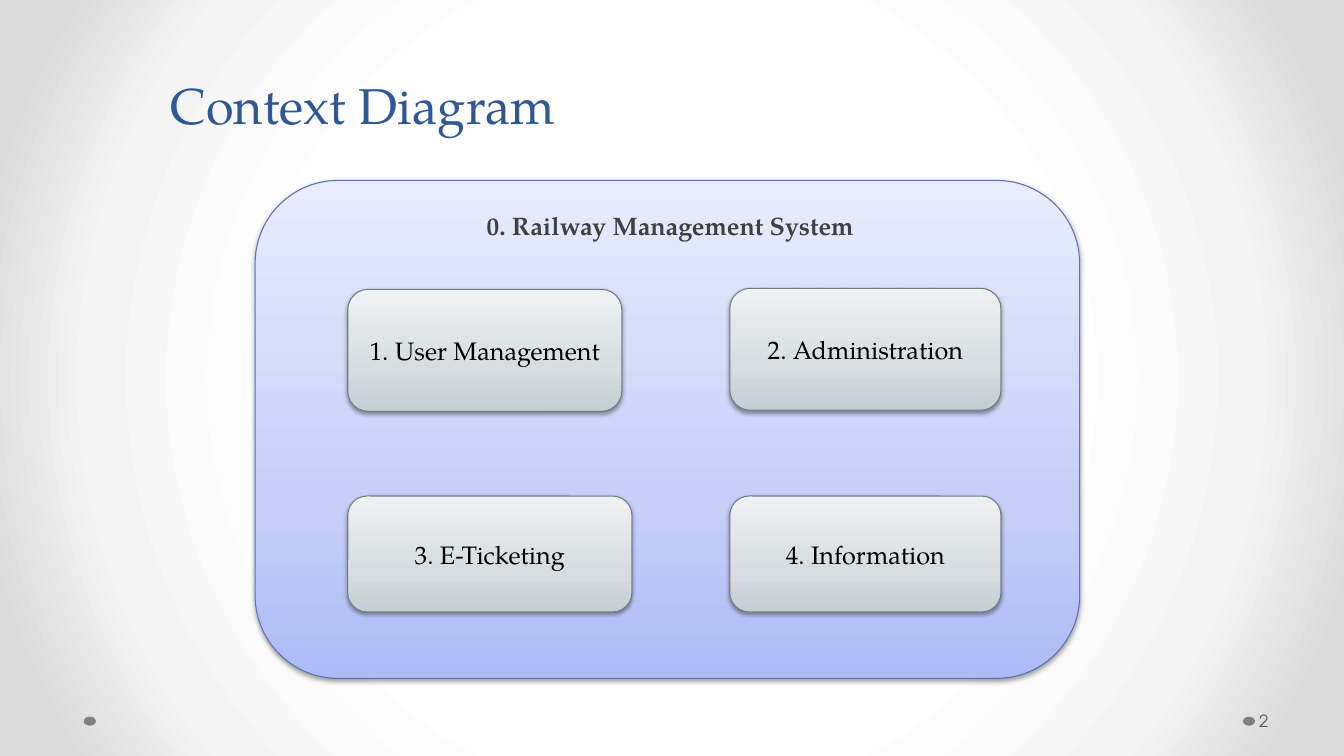
from lxml.etree import SubElement
from pptx import Presentation
from pptx.dml.color import RGBColor
from pptx.enum.shapes import MSO_SHAPE
from pptx.enum.text import MSO_ANCHOR, PP_ALIGN
from pptx.oxml.ns import qn
from pptx.util import Pt

SERIF, SANS = "TeX Gyre Pagella", "TeX Gyre Adventor"
TITLE_BLUE = RGBColor(0x2F, 0x58, 0x97)
BLACK = RGBColor(0, 0, 0)
HEADING_GRAY = RGBColor(0x40, 0x40, 0x40)
NUMBER_GRAY = RGBColor(0x59, 0x59, 0x59)
DOT_GRAY = RGBColor(0x80, 0x80, 0x80)
PANEL_LINE = RGBColor(0x5C, 0x72, 0xB2)
PROCESS_LINE = RGBColor(0x72, 0x7D, 0x82)

# Gradient stops: position in percent, colour
BACKGROUND_STOPS = [(50, RGBColor(0xFF, 0xFF, 0xFF)), (76, RGBColor(0xF4, 0xF4, 0xF4)),
                    (92, RGBColor(0xDA, 0xDA, 0xDA))]
PANEL_STOPS = [(0, RGBColor(0xAD, 0xBB, 0xF6)), (35, RGBColor(0xC5, 0xCF, 0xF8)),
               (100, RGBColor(0xE8, 0xEC, 0xFD))]
PROCESS_STOPS = [(0, RGBColor(0xC5, 0xCE, 0xD2)), (35, RGBColor(0xD6, 0xDC, 0xDF)),
                 (100, RGBColor(0xEF, 0xF2, 0xF3))]

# Processes: label, then left, top, width, height inside the panel
PROCESSES = [
    ("1. User Management", (66.2, 77.8, 195.8, 87.1)),
    ("2. Administration", (339.1, 77, 193.7, 87.1)),
    ("4. Information", (339.1, 225.4, 193.7, 82.8)),
    ("3. E-Ticketing", (66.2, 225.4, 203, 82.8)),
]


def add_element(parent, tag, **attributes):
    return SubElement(parent, qn(tag), {name: str(value) for name, value in attributes.items()})


def apply_gradient(properties, stops, radial=False):
    """Swap the solid fill in the given properties for a gradient."""
    solid = properties.find(qn("a:solidFill"))
    gradient = add_element(properties, "a:gradFill", rotWithShape=1)
    properties.replace(solid, gradient)
    stop_list = add_element(gradient, "a:gsLst")
    for position, color in stops:
        stop = add_element(stop_list, "a:gs", pos=position * 1000)
        add_element(stop, "a:srgbClr", val=color)
    if radial:
        shade = add_element(gradient, "a:path", path="circle")
        add_element(shade, "a:fillToRect", l=50000, t=50000, r=50000, b=50000)
    else:
        add_element(gradient, "a:lin", ang=16200000, scaled=0)


def add_shadow(shape):
    effects = shape._element.spPr.find(qn("a:effectLst"))
    shadow = add_element(effects, "a:outerShdw", blurRad=Pt(3.1), dist=Pt(1.6),
                         dir=5400000, rotWithShape=0)
    color = add_element(shadow, "a:srgbClr", val=BLACK)
    add_element(color, "a:alpha", val=38000)


def write_text(shape, text, color, name=SERIF, size=18, bold=False,
               alignment=PP_ALIGN.CENTER, anchor=MSO_ANCHOR.MIDDLE, wrap=True):
    frame = shape.text_frame
    frame.word_wrap = wrap
    frame.vertical_anchor = anchor
    paragraph = frame.paragraphs[0]
    paragraph.alignment = alignment
    run = paragraph.add_run()
    run.text = text
    run.font.color.rgb = color
    for attribute, value in {"name": name, "size": Pt(size), "bold": bold}.items():
        setattr(run.font, attribute, value)
    return paragraph


def add_filled_shape(slide, kind, box, color):
    shape = slide.shapes.add_shape(kind, *map(Pt, box))
    shape.shadow.inherit = False
    shape.fill.solid()
    shape.fill.fore_color.rgb = color
    shape.line.fill.background()
    return shape


def add_card(slide, box, stops, line_color):
    card = add_filled_shape(slide, MSO_SHAPE.ROUNDED_RECTANGLE, box, line_color)
    apply_gradient(card._element.spPr, stops)
    card.line.color.rgb = line_color
    card.line.width = Pt(0.75)
    add_shadow(card)
    return card


def add_title(slide, box):
    title = slide.shapes.title
    for attribute, value in zip(("left", "top", "width", "height"), box):
        setattr(title, attribute, Pt(value))
    paragraph = write_text(title, "Context Diagram", TITLE_BLUE, size=36,
                           anchor=MSO_ANCHOR.BOTTOM)
    paragraph.line_spacing = Pt(58)


def add_footer(slide, box):
    left, top, width, height = box
    # Dots at both ends
    for dot_left in (left, left + 828):
        add_filled_shape(slide, MSO_SHAPE.OVAL, (dot_left, top + 11.5, 8.7, 6.5), DOT_GRAY)
    # Slide number
    number = slide.shapes.add_textbox(Pt(left + width - 59), Pt(top), Pt(59), Pt(height))
    number.text_frame.margin_left = Pt(2.2)
    number.text_frame.margin_right = Pt(3.6)
    write_text(number, "2", NUMBER_GRAY, SANS, 12, alignment=PP_ALIGN.LEFT)


def add_system_panel(slide, box):
    left, top, width, height = box
    add_card(slide, box, PANEL_STOPS, PANEL_LINE)
    # Processes
    for label, (x, y, process_width, process_height) in PROCESSES:
        process_box = (left + x, top + y, process_width, process_height)
        process = add_card(slide, process_box, PROCESS_STOPS, PROCESS_LINE)
        write_text(process, label, BLACK)
    # Heading
    heading = slide.shapes.add_textbox(Pt(left + 158.4), Pt(top + 18), Pt(280), Pt(29))
    write_text(heading, "0. Railway Management System", HEADING_GRAY, bold=True,
               alignment=PP_ALIGN.LEFT, anchor=MSO_ANCHOR.TOP, wrap=False)


def main():
    presentation = Presentation()
    presentation.slide_width, presentation.slide_height = Pt(960), Pt(540)
    slide = presentation.slides.add_slide(presentation.slide_layouts[5])

    # Background
    slide.background.fill.solid()
    slide.background.fill.fore_color.rgb = BACKGROUND_STOPS[0][1]
    apply_gradient(slide.element.find(".//" + qn("p:bgPr")), BACKGROUND_STOPS, radial=True)

    add_footer(slide, (59.8, 500.4, 896.4, 28.8))
    add_title(slide, (48.2, 25.2, 421.9, 74.9))
    add_system_panel(slide, (182.2, 128.9, 589, 355.7))
    presentation.save("out.pptx")


if __name__ == "__main__":
    main()
